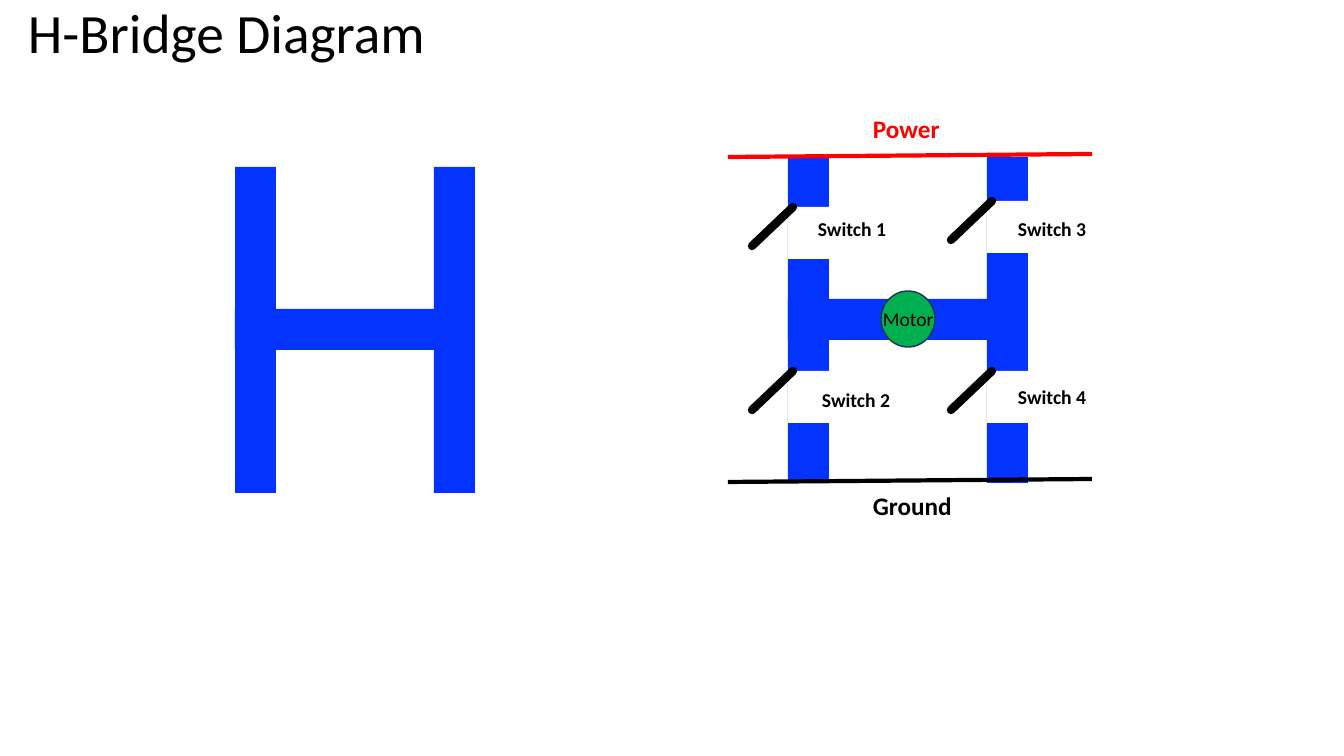
from lxml import etree
from pptx import Presentation
from pptx.dml.color import RGBColor
from pptx.enum.shapes import MSO_CONNECTOR, MSO_SHAPE
from pptx.enum.text import MSO_ANCHOR, MSO_AUTO_SIZE
from pptx.oxml.ns import qn
from pptx.util import Emu, Pt

STRAIGHT = MSO_CONNECTOR.STRAIGHT
RECTANGLE, OVAL = MSO_SHAPE.RECTANGLE, MSO_SHAPE.OVAL
TOP, MIDDLE = MSO_ANCHOR.TOP, MSO_ANCHOR.MIDDLE
FIT_SHAPE, NO_FIT = MSO_AUTO_SIZE.SHAPE_TO_FIT_TEXT, MSO_AUTO_SIZE.NONE

FONT = "Calibri"
COLORS = {
    "bridge": "0432FF",
    "gap": "FFFFFF",
    "black": "000000",
    "power": "FF0000",
    "motor": "00B050",
    "motor_edge": "1E3256",
}
BRIDGE_WIDTH, BRIDGE_HEIGHT, BEAM = 240, 326, 41
POST_OFFSET = BRIDGE_WIDTH - BEAM
SWITCHES = [
    ("Switch 1", (0, 50), (20, 55)),
    ("Switch 2", (0, 214), (24, 226)),
    ("Switch 3", (POST_OFFSET, 44), (220, 55)),
    ("Switch 4", (POST_OFFSET, 214), (220, 223)),
]


def px(length):
    """Turn whole pixels into EMU."""
    return Emu(round(length * 914400 / 100.8))


def color(name):
    """Look up a named colour."""
    return RGBColor.from_string(COLORS[name])


def add_text(shapes, text, box, size=14, bold=False, ink="black",
             wrap=False, anchor=TOP, spacing=1.0):
    """Add one line of formatted text in a box."""
    shape = shapes.add_textbox(*map(px, box))
    frame = shape.text_frame
    frame.word_wrap = wrap
    frame.auto_size = NO_FIT if wrap else FIT_SHAPE
    frame.vertical_anchor = anchor
    paragraph = frame.paragraphs[0]
    paragraph.line_spacing = spacing
    run = paragraph.add_run()
    run.text = text
    run.font.name, run.font.size, run.font.bold = FONT, Pt(size), bold
    run.font.color.rgb = color(ink)


def add_block(shapes, kind, box, fill, edge=None):
    """Add a filled shape, outlined only when an edge colour is given."""
    shape = shapes.add_shape(kind, *map(px, box))
    shape.shadow.inherit = False
    shape.fill.solid()
    shape.fill.fore_color.rgb = color(fill)
    if edge:
        shape.line.color.rgb = color(edge)
        shape.line.width = Pt(1)
    else:
        shape.line.fill.background()


def add_line(shapes, start, end, ink, width, round_cap=False):
    """Add a straight line between two points."""
    line = shapes.add_connector(STRAIGHT, *map(px, (*start, *end)))
    line.line.color.rgb = color(ink)
    line.line.width = Pt(width)
    properties = line._element.spPr
    etree.SubElement(properties, qn("a:effectLst"))
    if round_cap:
        properties.find(qn("a:ln")).set("cap", "rnd")


def draw_bridge(shapes, left, top):
    """Draw the plain H: two posts and a crossbar."""
    for offset in (0, POST_OFFSET):
        add_block(shapes, RECTANGLE, (left + offset, top, BEAM, BRIDGE_HEIGHT), "bridge")
    crossbar_top = top + (BRIDGE_HEIGHT - BEAM) // 2
    add_block(shapes, RECTANGLE, (left, crossbar_top, BRIDGE_WIDTH, BEAM), "bridge")


def draw_switch(shapes, left, top):
    """Draw an open switch: a gap in the post and its blade."""
    group = shapes.add_group_shape().shapes
    add_block(group, RECTANGLE, (left, top, BEAM, 52), "gap")
    add_line(group, (left + 5, top), (left - 36, top + 39), "black", 6, round_cap=True)


def draw_circuit(shapes, left, top):
    """Draw the H with its switches, motor, supply rails and labels."""
    draw_bridge(shapes, left, top)
    for _, (x, y), _ in SWITCHES:
        draw_switch(shapes, left + x, top + y)
    add_block(shapes, OVAL, (left + 93, top + 134, 54, 56), "motor", edge="motor_edge")
    rails = [("Power", "power", 0, -49, 88), ("Ground", "black", 325, 328, 100)]
    for name, ink, rail_y, label_y, width in rails:
        add_line(shapes, (left - 60, top + rail_y), (left + 304, top + rail_y - 3), ink, 3)
        add_text(shapes, name, (left + 75, top + label_y, width, 40),
                 size=18, bold=True, ink=ink)
    add_text(shapes, "Motor", (left + 85, top + 145, 72, 34))
    for name, _, (x, y) in SWITCHES:
        add_text(shapes, name, (left + x, top + y, 89, 34), bold=True)


def main():
    """Build and save the slide."""
    presentation = Presentation()
    presentation.slide_width, presentation.slide_height = px(1344), px(756)
    slide = presentation.slides.add_slide(presentation.slide_layouts[6])
    add_text(slide.shapes, "H-Bridge Diagram", (18, 10, 1159, 52), size=39.6,
             wrap=True, anchor=MIDDLE, spacing=0.9)
    draw_bridge(slide.shapes, 235, 167)
    draw_circuit(slide.shapes, 788, 157)
    presentation.save("out.pptx")


main()
